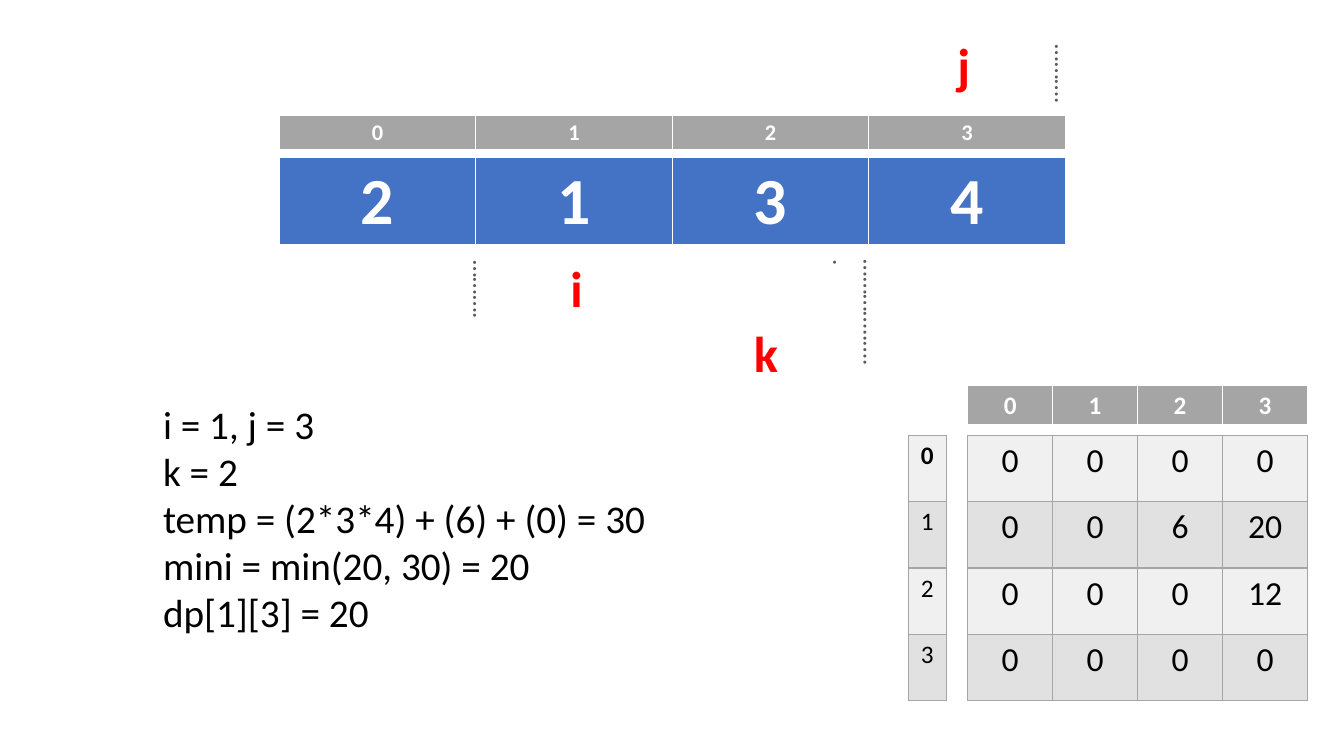
from dataclasses import dataclass

from lxml import etree
from pptx import Presentation
from pptx import util as u
from pptx.dml.color import RGBColor
from pptx.enum import text
from pptx.oxml import ns


@dataclass(frozen=True)
class Theme:
    font: str = "Calibri"
    white: str = "FFFFFF"
    black: str = "000000"
    red: str = "FF0000"
    blue: str = "4472C4"
    gray: str = "A5A5A5"
    dots: str = "595959"
    bands: tuple = ("F0F0F0", "E1E1E1")
    array_size: int = 47
    pointer_size: int = 36
    body_size: int = 28
    grid_size: int = 24
    label_size: int = 18
    index_size: int = 16


def write_text(frame, content, *, font, size, color, bold=False, align=None):
    """Write one paragraph for each line of content."""
    for number, line in enumerate(content.split("\n")):
        paragraph = frame.paragraphs[0] if number == 0 else frame.add_paragraph()
        paragraph.alignment = align
        run = paragraph.add_run()
        run.text = line
        run.font.name = font
        run.font.size = u.Pt(size)
        run.font.bold = bold
        run.font.color.rgb = RGBColor.from_string(color)


class SlideBuilder:
    def __init__(self, slide, theme):
        self.slide = slide
        self.theme = theme

    def text_box(self, content, left, top, width, height, *, rotation=0, **style):
        shape = self.slide.shapes.add_textbox(*map(u.Pt, (left, top, width, height)))
        shape.rotation = rotation
        frame = shape.text_frame
        frame.word_wrap = True
        frame.auto_size = text.MSO_AUTO_SIZE.SHAPE_TO_FIT_TEXT
        write_text(frame, content, font=self.theme.font, **style)

    def pointer(self, name, left, top):
        self.text_box(name, left, top, 29, 51, size=self.theme.pointer_size,
                      color=self.theme.red, bold=True)

    def dotted_marker(self, dots, left, top, length):
        self.text_box(dots, left, top, length, 29, rotation=90,
                      size=self.theme.label_size, color=self.theme.dots)

    def border(self, cell, color, bottom_width):
        properties = cell._tc.get_or_add_tcPr()
        for side, width in (("L", 1), ("R", 1), ("T", 1), ("B", bottom_width)):
            line = etree.SubElement(properties, ns.qn(f"a:ln{side}"), w=str(u.Pt(width)))
            fill = etree.SubElement(line, ns.qn("a:solidFill"))
            etree.SubElement(fill, ns.qn("a:srgbClr"), val=color)

    def table(self, rows, left, top, column_width, row_height, *, size, color, fills,
              line, bottom_width=1, bold_first_row=False, margins=None):
        """Draw equal cells; the fills take turns from row to row."""
        columns = len(rows[0])
        frame = self.slide.shapes.add_table(
            len(rows), columns, u.Pt(left), u.Pt(top),
            u.Pt(column_width * columns), u.Pt(row_height * len(rows)))
        table = frame.table
        table.first_row = table.horz_banding = False
        for column in table.columns:
            column.width = u.Pt(column_width)
        for row_number, values in enumerate(rows):
            table.rows[row_number].height = u.Pt(row_height)
            for column_number, value in enumerate(values):
                cell = table.cell(row_number, column_number)
                if margins:
                    cell.margin_left = cell.margin_right = u.Pt(margins[0])
                    cell.margin_top = cell.margin_bottom = u.Pt(margins[1])
                self.border(cell, line, bottom_width)
                cell.fill.solid()
                cell.fill.fore_color.rgb = RGBColor.from_string(
                    fills[row_number % len(fills)])
                write_text(cell.text_frame, str(value), font=self.theme.font,
                           size=size, color=color, align=text.PP_ALIGN.CENTER,
                           bold=bold_first_row and row_number == 0)

    def strip(self, values, left, top, column_width, row_height, *, size, fill,
              margins=None):
        """Draw a single row of bold white values."""
        self.table([values], left, top, column_width, row_height, size=size,
                   color=self.theme.white, fills=[fill], line=self.theme.white,
                   bottom_width=3, bold_first_row=True, margins=margins)

    def banded(self, rows, left, top, column_width, row_height, *, size, **options):
        self.table(rows, left, top, column_width, row_height, size=size,
                   color=self.theme.black, fills=self.theme.bands,
                   line=self.theme.gray, **options)


def main():
    theme = Theme()
    presentation = Presentation()
    presentation.slide_width, presentation.slide_height = u.Pt(960), u.Pt(540)
    slide = presentation.slides.add_slide(presentation.slide_layouts[6])
    builder = SlideBuilder(slide, theme)
    indexes = list(range(4))

    # Array with its indexes
    array_left, array_column, array_margins = 199.4, 140.4, (6.5, 3)
    builder.strip([2, 1, 3, 4], array_left, 112.3, array_column, 63.4,
                  size=theme.array_size, fill=theme.blue, margins=array_margins)
    builder.strip(indexes, array_left, 82.1, array_column, 25.9,
                  size=theme.index_size, fill=theme.gray, margins=array_margins)

    # Pointers into the array
    for name, left, top in (("i", 400.3, 180), ("j", 676.8, 21), ("k", 531.4, 226.8)):
        builder.pointer(name, left, top)

    # Calculation steps
    builder.text_box(
        "i = 1, j = 3\nk = 2\ntemp = (2*3*4) + (6) + (0) = 30\n"
        "mini = min(20, 30) = 20\ndp[1][3] = 20",
        109.4, 282.2, 523.4, 211, size=theme.body_size, color=theme.black)

    # dp table with column and row indexes
    grid_left, grid_top, grid_column, grid_row = 691.2, 311, 60.7, 47.4
    builder.banded([[0, 0, 0, 0], [0, 0, 6, 20], [0, 0, 0, 12], [0, 0, 0, 0]],
                   grid_left, grid_top, grid_column, grid_row, size=theme.grid_size)
    builder.strip(indexes, grid_left, 275, grid_column, 29.5,
                  size=theme.label_size, fill=theme.gray)
    builder.banded([[index] for index in indexes], 648.7, grid_top, 27.4, grid_row,
                   size=theme.label_size, bold_first_row=True)

    # Dotted partition markers
    for dots, left, top, length in (("……….", 310.3, 199.4, 69.8),
                                    ("……….", 725.8, 45.4, 69.8),
                                    ("…………..…..", 576.7, 211, 94.3)):
        builder.dotted_marker(dots, left, top, length)

    presentation.save("out.pptx")


if __name__ == "__main__":
    main()
